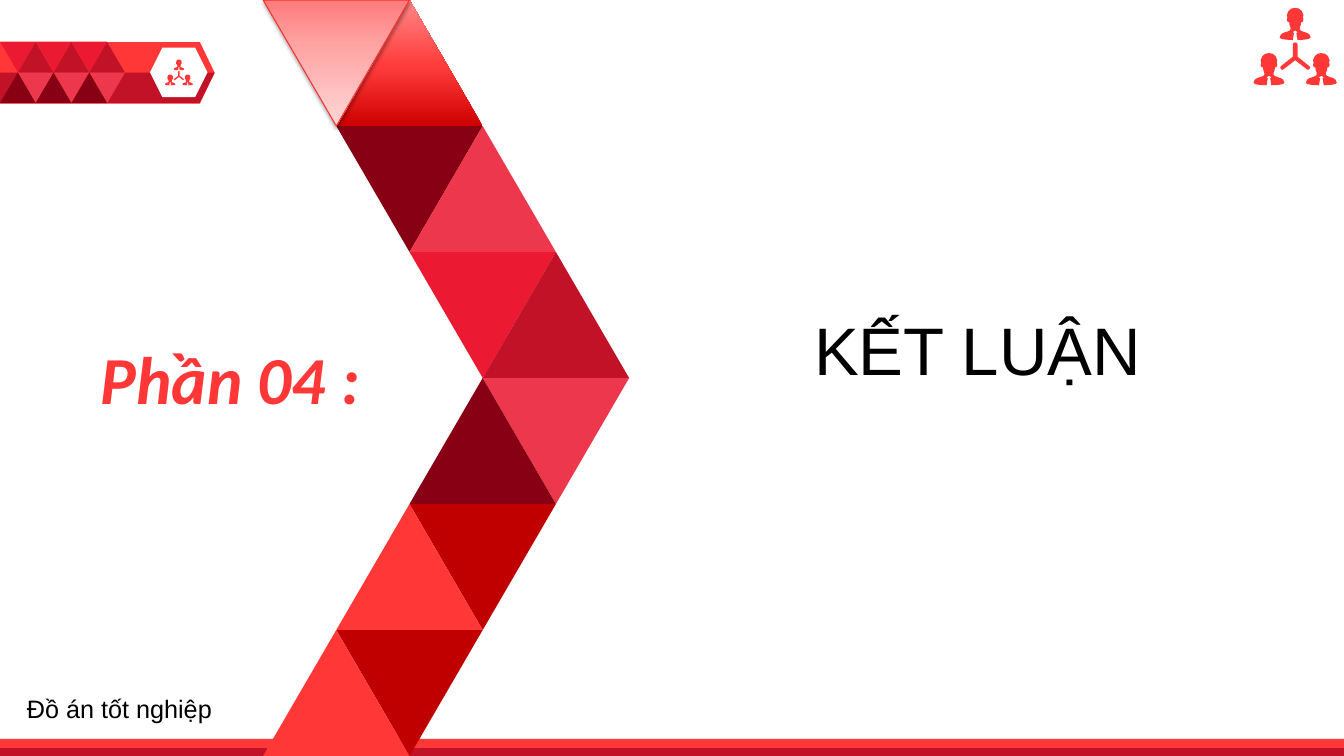
from pptx import Presentation
from pptx import util as u
from pptx.dml.color import RGBColor
from pptx.enum import shapes, text
from pptx.oxml import parse_xml
from pptx.oxml.ns import nsdecls, qn

RED = RGBColor(0xFF, 0x37, 0x37)
DARK = RGBColor(0xC2, 0x12, 0x27)
WINE = RGBColor(0x88, 0x00, 0x14)
ROSE = RGBColor(0xED, 0x37, 0x4D)
CRIMSON = RGBColor(0xEB, 0x19, 0x32)
BRICK = RGBColor(0xC0, 0x00, 0x00)
EDGE = RGBColor(0xFD, 0x30, 0x30)
WHITE = RGBColor(0xFF, 0xFF, 0xFF)
BLACK = RGBColor(0x00, 0x00, 0x00)

WIDTH, HEIGHT = 33.87, 19.05
KIND = shapes.MSO_SHAPE

HALF_BODY = [(0, 0), (3, 0.5), (5.5, 2.5), (7, 6), (6.5, 8), (7, 10), (6.3, 11.7),
             (5, 12), (4.7, 14.5), (4, 16), (3.8, 18), (5, 19.3), (7, 20), (10, 21),
             (12, 22.3), (13, 25), (11.5, 26), (8, 26.7), (2, 27), (1, 21),
             (2, 20.8), (1.6, 20), (0, 19)]
HALF_FORK = [(0, 29), (1.5, 29.5), (2, 31), (2, 41), (12, 49), (12.5, 50),
             (12, 51.3), (11, 52), (10, 51.7), (0, 44)]


def mirror(half):
    return half + [(-x, y) for x, y in reversed(half[1:-1])]


class Deck:
    def __init__(self):
        self.prs = Presentation()
        self.prs.slide_width = u.Cm(WIDTH)
        self.prs.slide_height = u.Cm(HEIGHT)
        self.slide = self.prs.slides.add_slide(self.prs.slide_layouts[5])

    def paint(self, shape, color):
        shape.shadow.inherit = False
        shape.fill.solid()
        shape.fill.fore_color.rgb = color
        shape.line.fill.background()
        return shape

    def shape(self, kind, x, y, w, h, color, adj=None):
        item = self.slide.shapes.add_shape(kind, u.Cm(x), u.Cm(y), u.Cm(w), u.Cm(h))
        if adj is not None:
            item.adjustments[0] = adj
        return self.paint(item, color)

    def wedge(self, x, y, w, h, color, down=False):
        item = self.shape(KIND.ISOSCELES_TRIANGLE, x, y, w, h, color)
        item.rotation = 180 if down else 0
        return item

    def outline(self, rings, color):
        rings = [[(u.Cm(x), u.Cm(y)) for x, y in ring] for ring in rings]
        pen = self.slide.shapes.build_freeform(*rings[0][0])
        for ring in rings:
            if ring is not rings[0]:
                pen.move_to(*ring[0])
            pen.add_line_segments(ring[1:], close=True)
        return self.paint(pen.convert_to_shape(), color)

    def team(self, mid, top, unit):
        rings = [[(x + dx, y + dy) for x, y in mirror(HALF_BODY)]
                 for dx, dy in [(0, 0), (-22, 38), (22, 38)]]
        rings.append(mirror(HALF_FORK))
        self.outline([[(mid + x * unit, top + y * unit) for x, y in ring]
                      for ring in rings], RED)

    def blend(self, shape, stops):
        marks = "".join(f'<a:gs pos="{pos * 1000}"><a:srgbClr val="{tint}"/></a:gs>'
                        for pos, tint in stops)
        fill = parse_xml(f'<a:gradFill {nsdecls("a")} rotWithShape="1"><a:gsLst>{marks}'
                         '</a:gsLst><a:lin ang="16200000" scaled="0"/></a:gradFill>')
        props = shape.element.spPr
        props.replace(props.find(qn("a:solidFill")), fill)

    def shade(self, shape):
        glow = parse_xml(f'<a:outerShdw {nsdecls("a")} blurRad="39370" dist="20000" '
                         'dir="5400000" rotWithShape="0"><a:srgbClr val="000000">'
                         '<a:alpha val="37000"/></a:srgbClr></a:outerShdw>')
        shape.element.spPr.find(qn("a:effectLst")).append(glow)

    def words(self, item, label, size, face, color, align):
        frame = item.text_frame
        frame.text = label
        frame.word_wrap = True
        frame.auto_size = text.MSO_AUTO_SIZE.NONE
        frame.vertical_anchor = text.MSO_ANCHOR.TOP
        line = frame.paragraphs[0]
        line.alignment = align
        line.font.size = u.Pt(size)
        line.font.name = face
        line.font.color.rgb = color
        return line

    def title(self, label, x, y, w, h):
        item = self.slide.shapes.title
        item.left, item.top, item.width, item.height = map(u.Cm, (x, y, w, h))
        self.words(item, label, 48, "Arial", BLACK, text.PP_ALIGN.CENTER)

    def note(self, label, x, y, w, h, size, face, color):
        item = self.slide.shapes.add_textbox(u.Cm(x), u.Cm(y), u.Cm(w), u.Cm(h))
        return self.words(item, label, size, face, color, text.PP_ALIGN.LEFT)


def badge(deck):
    deck.shape(KIND.PENTAGON, 0, 1.06, 5.41, 1.55, RED, 0.24)
    deck.outline([[(0, 1.83), (5.41, 1.83), (5.03, 2.6), (0, 2.6)]], DARK)
    deck.shape(KIND.HEXAGON, 3.78, 1.2, 1.45, 1.25, WHITE, 0.25)
    deck.team(4.51, 1.5, 0.01)
    side, tall = 0.9, 0.77
    for col in range(3):
        left = col * side
        right = left + side / 2
        deck.wedge(left, 1.05, side, tall, CRIMSON, True)
        deck.wedge(right, 1.06, side, tall, DARK)
        deck.wedge(right, 1.83, side, tall, ROSE, True)
        deck.wedge(left, 1.83, side, tall, WINE)


def ribbon(deck):
    side, tall = 3.69, HEIGHT / 6
    tiles = [(1, 0, RED, False), (1, 1, WINE, True), (0, 0, RED, True),
             (2, 1, ROSE, False), (2, 2, CRIMSON, True), (3, 2, DARK, False),
             (3, 3, ROSE, True), (2, 3, WINE, False), (2, 4, BRICK, True),
             (1, 4, RED, False), (1, 5, BRICK, True), (0, 5, RED, False)]
    made = {(col, row): deck.wedge(6.63 + col * side / 2, row * tall, side, tall, color, down)
            for col, row, color, down in tiles}
    deck.blend(made[1, 0], [(0, "CF0000"), (48, "FF3C3C"), (100, "FF8787")])
    pale = made[0, 0]
    deck.blend(pale, [(0, "FF7A7B"), (35, "FFA3A3"), (100, "FFD6D6")])
    pale.line.color.rgb = EDGE
    pale.line.width = u.Pt(0.75)
    deck.shade(pale)


def main():
    deck = Deck()
    badge(deck)
    deck.shape(KIND.RECTANGLE, 0, 18.62, WIDTH, 0.41, RED)
    deck.shape(KIND.RECTANGLE, 0, 18.85, WIDTH, 0.2, DARK)
    ribbon(deck)
    part = deck.note("Phần 04 :", 2.29, 8.38, 10.46, 2.29, 48, "Calibri", RED)
    part.font.bold = True
    part.font.italic = True
    deck.title("KẾT LUẬN", 15.75, 7.65, 17.78, 2.31)
    deck.team(32.64, 0.2, 0.03)
    deck.note("Đồ án tốt nghiệp", 0.43, 17.35, 7.19, 1.02, 18, "Arial", BLACK)
    deck.prs.save("out.pptx")


if __name__ == "__main__":
    main()
